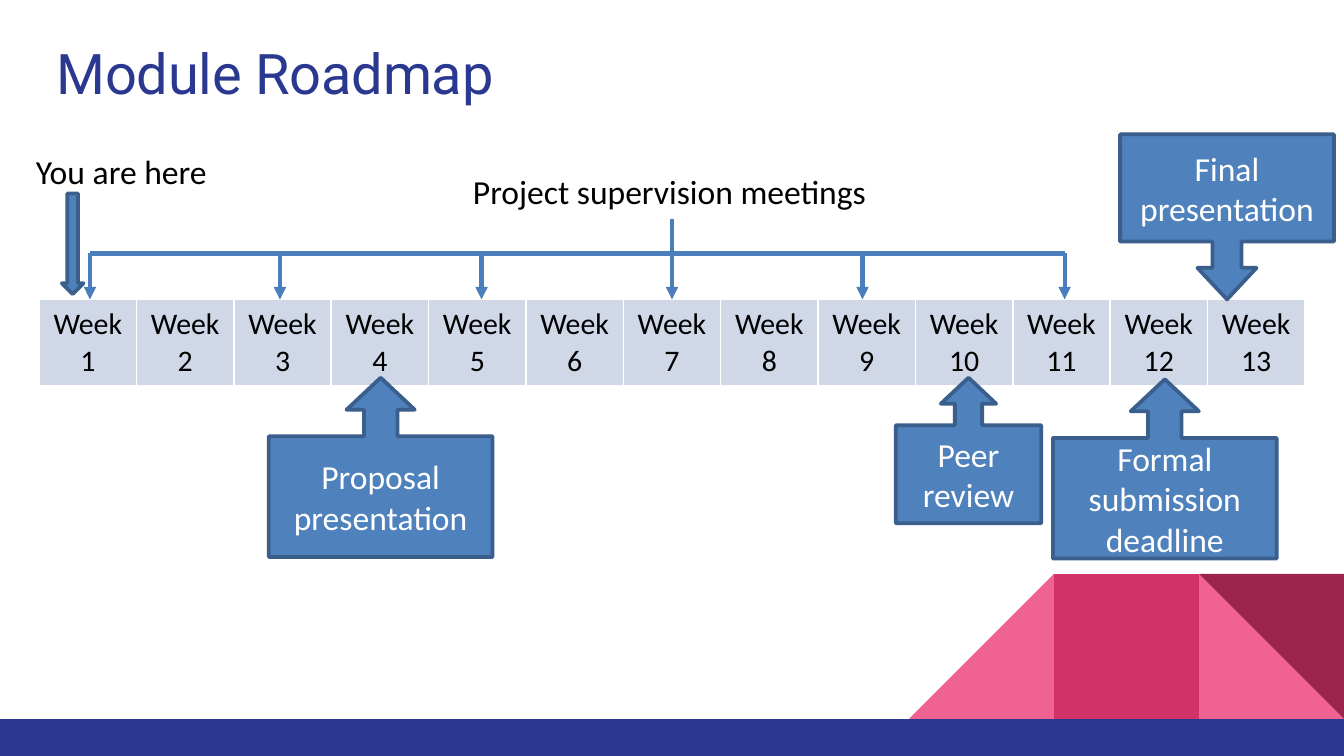
from lxml.etree import SubElement
from pptx import Presentation
from pptx.dml.color import RGBColor
from pptx.enum.shapes import MSO_CONNECTOR as Connector, MSO_SHAPE as Shape
from pptx.enum.text import MSO_ANCHOR as Anchor, MSO_AUTO_SIZE as AutoSize, PP_ALIGN as Align
from pptx.oxml.ns import qn
from pptx.util import Cm, Pt

NAVY, BLACK, WHITE = "2A3890", "000000", "FFFFFF"
BLUE, BLUE_EDGE, BLUE_LINE, PALE_BLUE = "4F81BD", "3A5F8C", "4B7EBC", "D0D8E8"
PINK, MAGENTA, WINE = "F06292", "D13368", "9B254D"
UP_ADJUSTMENTS = (0.187, 0.19, 0.179, 0.673)
DOWN_ADJUSTMENTS = (0.176, 0.179, 0.191, 0.65)


def color(hex_string):
    """Turn a hex string into a colour."""
    return RGBColor.from_string(hex_string)


def paint(shape, fill, edge=None):
    """Give a shape a flat fill and an optional outline."""
    shape.shadow.inherit = False
    shape.fill.solid()
    shape.fill.fore_color.rgb = color(fill)
    if edge:
        shape.line.color.rgb = color(edge)
        shape.line.width = Pt(2)
    else:
        shape.line.fill.background()


def write(text_frame, text, size, hex_string, align=Align.LEFT, font="Calibri"):
    """Write one formatted run in the first paragraph and return the run."""
    paragraph = text_frame.paragraphs[0]
    paragraph.alignment = align
    run = paragraph.add_run()
    run.text = text
    run.font.name = font
    run.font.size = Pt(size)
    run.font.color.rgb = color(hex_string)
    return run


def add_polygon(slide, points, fill):
    """Draw a filled polygon through points given in centimetres."""
    corners = [(Cm(x), Cm(y)) for x, y in points]
    builder = slide.shapes.build_freeform(*corners[0])
    builder.add_line_segments(corners[1:], close=True)
    paint(builder.convert_to_shape(), fill)


def add_footer(slide, left, top, width, height):
    """Draw the navy bar and the pink facets standing on its right end."""
    side = 2.74
    right, upper = left + width, top - side
    first, second, third = (right - count * side for count in (3, 2, 1))
    add_polygon(slide, [(right, top), (third, top), (third, upper)], PINK)
    add_polygon(slide, [(second, top), (first, top), (second, upper)], PINK)
    add_polygon(slide, [(third, top), (second, top), (second, upper), (third, upper)], MAGENTA)
    add_polygon(slide, [(right, top), (third, upper), (right, upper)], WINE)
    bottom = top + height
    add_polygon(slide, [(right, bottom), (left, bottom), (left, top), (right, top)], NAVY)


def add_title(slide, left, top, width, height):
    """Place and format the title placeholder."""
    title = slide.shapes.title
    title.left, title.top, title.width, title.height = map(Cm, (left, top, width, height))
    frame = title.text_frame
    frame.margin_left = frame.margin_right = frame.margin_bottom = 0
    frame.margin_top = Cm(0.03)
    frame.vertical_anchor = Anchor.TOP
    frame.auto_size = AutoSize.NONE
    run = write(frame, "Module Roadmap", 30, NAVY, font="Roboto")
    run.font._element.set("spc", "-10")
    frame.paragraphs[0].space_before = Pt(1)


def add_weeks(slide, left, top, width, height, count=13):
    """Add the one-row table of weeks."""
    table = slide.shapes.add_table(1, count, Cm(left), Cm(top), Cm(width), Cm(height)).table
    table.first_row = table.horz_banding = False
    for number, column in enumerate(table.columns, 1):
        column.width = Cm(width / count)
        cell = table.cell(0, number - 1)
        cell.fill.solid()
        cell.fill.fore_color.rgb = color(PALE_BLUE)
        write(cell.text_frame, f"Week {number}", 16, BLACK, Align.CENTER)


def add_label(slide, text, left, top, width, height):
    """Add an unwrapped text label."""
    frame = slide.shapes.add_textbox(*map(Cm, (left, top, width, height))).text_frame
    frame.word_wrap = False
    frame.auto_size = AutoSize.SHAPE_TO_FIT_TEXT
    write(frame, text, 18, BLACK)


def add_line(slide, start, end, arrow=True):
    """Draw a straight connector, with an arrowhead at its end if asked."""
    line = slide.shapes.add_connector(Connector.STRAIGHT, *map(Cm, start + end))
    line.line.color.rgb = color(BLUE_LINE)
    line.line.width = Pt(2.25)
    properties = line._element.spPr
    if arrow:
        SubElement(properties.find(qn("a:ln")), qn("a:tailEnd"), type="triangle")
    SubElement(properties, qn("a:effectLst"))


def add_meetings(slide, left, top, width, height):
    """Draw the supervision label and the bracket of arrows below it."""
    right, bottom, middle, bar = left + width, top + height, 12.7, top + 1.67
    add_label(slide, "Project supervision meetings", 8.69, top - 0.01, 8.03, 1.02)
    add_line(slide, (middle, top + 1.02), (middle, bottom))
    for x in (left, 5.29, 9.1, 16.3, right):
        add_line(slide, (x, bar), (x, bottom))
    add_line(slide, (left, bar), (right, bar), arrow=False)


def add_here_marker(slide, left, top, width, height):
    """Add the current-position label with its block arrow."""
    arrow = slide.shapes.add_shape(
        Shape.DOWN_ARROW, Cm(left + 0.74), Cm(top + 0.94), Cm(0.41), Cm(height - 0.94))
    paint(arrow, BLUE, BLUE_EDGE)
    add_label(slide, "You are here", left, top, width, 1.02)


def add_callout(slide, text, box, kind=Shape.UP_ARROW_CALLOUT, adjustments=UP_ADJUSTMENTS):
    """Add a milestone callout pointing at the week row."""
    callout = slide.shapes.add_shape(kind, *map(Cm, box))
    for index, value in enumerate(adjustments):
        callout.adjustments[index] = value
    paint(callout, BLUE, BLUE_EDGE)
    callout.text_frame.word_wrap = True
    callout.text_frame.vertical_anchor = Anchor.MIDDLE
    write(callout.text_frame, text, 18, WHITE, Align.CENTER)


def add_milestones(slide, top):
    """Add the deadlines below the week row and the final one above it."""
    add_callout(slide, "Formal submission deadline", (19.9, top + 0.03, 4.23, 3.39))
    add_callout(slide, "Proposal presentation", (5.08, top, 4.23, 3.39))
    add_callout(slide, "Peer review", (16.93, top, 2.75, 2.75))
    add_callout(slide, "Final presentation", (21.17, top - 4.6, 4.04, 3.12),
                Shape.DOWN_ARROW_CALLOUT, DOWN_ADJUSTMENTS)


def main():
    """Build the roadmap slide and save it."""
    presentation = Presentation()
    presentation.slide_width, presentation.slide_height = Cm(25.4), Cm(14.29)
    slide = presentation.slides.add_slide(presentation.slide_layouts[5])
    add_footer(slide, 0, 13.59, 25.4, 0.7)
    add_title(slide, 1.07, 0.69, 19.48, 1.35)
    add_weeks(slide, 0.74, 5.66, 23.93, 1.6)
    add_meetings(slide, 1.7, 3.12, 18.42, 2.54)
    add_here_marker(slide, 0.43, 2.72, 3.78, 2.84)
    add_milestones(slide, 7.14)
    presentation.save("out.pptx")


if __name__ == "__main__":
    main()
